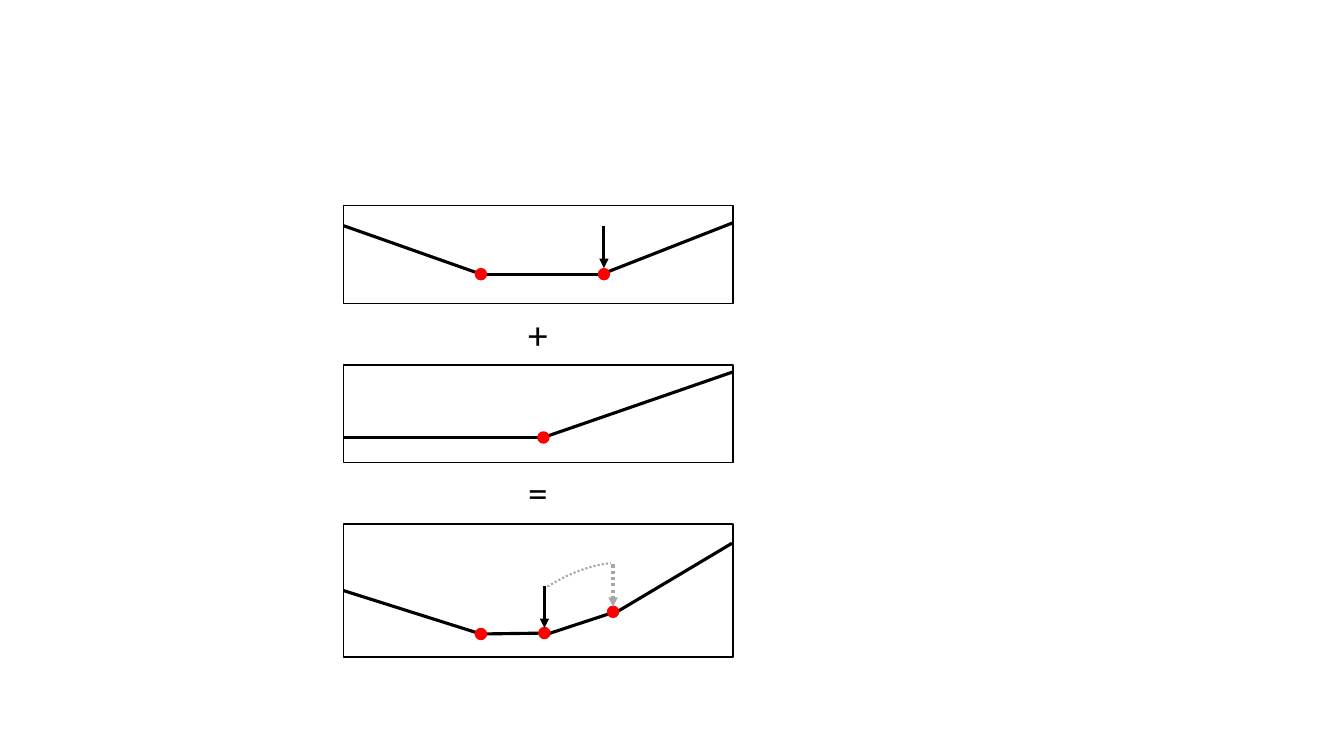
from pptx import Presentation
from pptx.dml.color import RGBColor
from pptx.enum.dml import MSO_LINE
from pptx.enum.shapes import MSO_CONNECTOR, MSO_SHAPE
from pptx.enum.text import MSO_AUTO_SIZE
from pptx.oxml.ns import qn
from pptx.util import Inches, Pt
from lxml import etree

STRAIGHT = MSO_CONNECTOR.STRAIGHT
RECT, OVAL, ARC = MSO_SHAPE.RECTANGLE, MSO_SHAPE.OVAL, MSO_SHAPE.ARC
DOTTED = MSO_LINE.ROUND_DOT
BLACK, RED, GRAY = "000000", "FF0000", "A6A6A6"
LEFT, WIDTH, DOT, ARROW = 3.41, 3.86, 0.11, 0.42

# Content: each panel has a frame, line segments, dots (centres) and arrows (start, colour, dash)
PANELS = [
    {"top": 2.04, "height": 0.97,
     "segments": [(5.99, 2.72, 4.75, 2.72), (4.77, 2.72, 3.41, 2.24),
                  (7.27, 2.21, 5.97, 2.72)],
     "dots": [(4.77, 2.72), (5.99, 2.72)],
     "arrows": [(5.99, 2.24, BLACK, None)]},
    {"top": 3.62, "height": 0.97,
     "segments": [(3.41, 4.34, 5.36, 4.34), (7.27, 3.69, 5.39, 4.34)],
     "dots": [(5.39, 4.34)],
     "arrows": []},
    {"top": 5.2, "height": 1.32,
     "segments": [(5.45, 6.28, 4.75, 6.29), (4.77, 6.29, 3.41, 5.86),
                  (6.04, 6.09, 5.37, 6.31), (7.26, 5.39, 6.12, 6.07)],
     "dots": [(4.77, 6.29), (5.4, 6.28), (6.08, 6.07)],
     "arrows": [(6.08, 5.6, GRAY, DOTTED), (5.4, 5.81, BLACK, None)],
     "arc": {"at": (4.45, 5.82, 2.43, 1.45), "rotation": 319.4, "adj": (173.78, 199.7)}},
]
OPERATORS = [("+", 3.03), ("=", 4.6)]


def rgb(color):
    return RGBColor.from_string(color)


def style_line(line, color, width, dash=None):
    line.color.rgb = rgb(color)
    line.width = Pt(width)
    if dash is not None:
        line.dash_style = dash


def add_outline(group, kind, at, color, width, fill=None, dash=None):
    sp = group.shapes.add_shape(kind, *map(Inches, at))
    sp.shadow.inherit = False
    if fill:
        sp.fill.solid()
        sp.fill.fore_color.rgb = rgb(fill)
    else:
        sp.fill.background()
    style_line(sp.line, color, width, dash)
    return sp


def add_line(group, ends, color=BLACK, dash=None, arrow=False):
    cx = group.shapes.add_connector(STRAIGHT, *map(Inches, ends))
    style_line(cx.line, color, 2.25, dash)
    sp_pr = cx._element.spPr
    if arrow:
        etree.SubElement(sp_pr.find(qn("a:ln")), qn("a:tailEnd"), type="triangle")
    etree.SubElement(sp_pr, qn("a:effectLst"))


def add_text(s, text, at, size=28, font="Calibri", color=BLACK):
    tf = s.shapes.add_textbox(*map(Inches, at)).text_frame
    tf.word_wrap = False
    tf.auto_size = MSO_AUTO_SIZE.SHAPE_TO_FIT_TEXT
    r = tf.paragraphs[0].add_run()
    r.text = text
    r.font.size, r.font.name = Pt(size), font
    r.font.color.rgb = rgb(color)


def add_panel(s, panel):
    group = s.shapes.add_group_shape()
    add_outline(group, RECT, (LEFT, panel["top"], WIDTH, panel["height"]), BLACK, 1)
    if "arc" in panel:
        arc = panel["arc"]
        sp = add_outline(group, ARC, arc["at"], GRAY, 1.5, dash=DOTTED)
        sp.rotation = arc["rotation"]
        sp.adjustments[0], sp.adjustments[1] = arc["adj"]
    for ends in panel["segments"]:
        add_line(group, ends)
    for x, y in panel["dots"]:
        add_outline(group, OVAL, (x - DOT / 2, y - DOT / 2, DOT, DOT), RED, 1, fill=RED)
    for x, y, color, dash in panel["arrows"]:
        add_line(group, (x, y, x, y + ARROW), color, dash, arrow=True)


def main():
    prs = Presentation()
    prs.slide_width, prs.slide_height = Inches(13.33), Inches(7.5)
    s = prs.slides.add_slide(prs.slide_layouts[6])

    # Curves
    for panel in PANELS:
        add_panel(s, panel)

    # Operators between the panels
    for text, top in OPERATORS:
        add_text(s, text, (5.14, top, 0.4, 0.57))

    prs.save("out.pptx")


if __name__ == "__main__":
    main()
